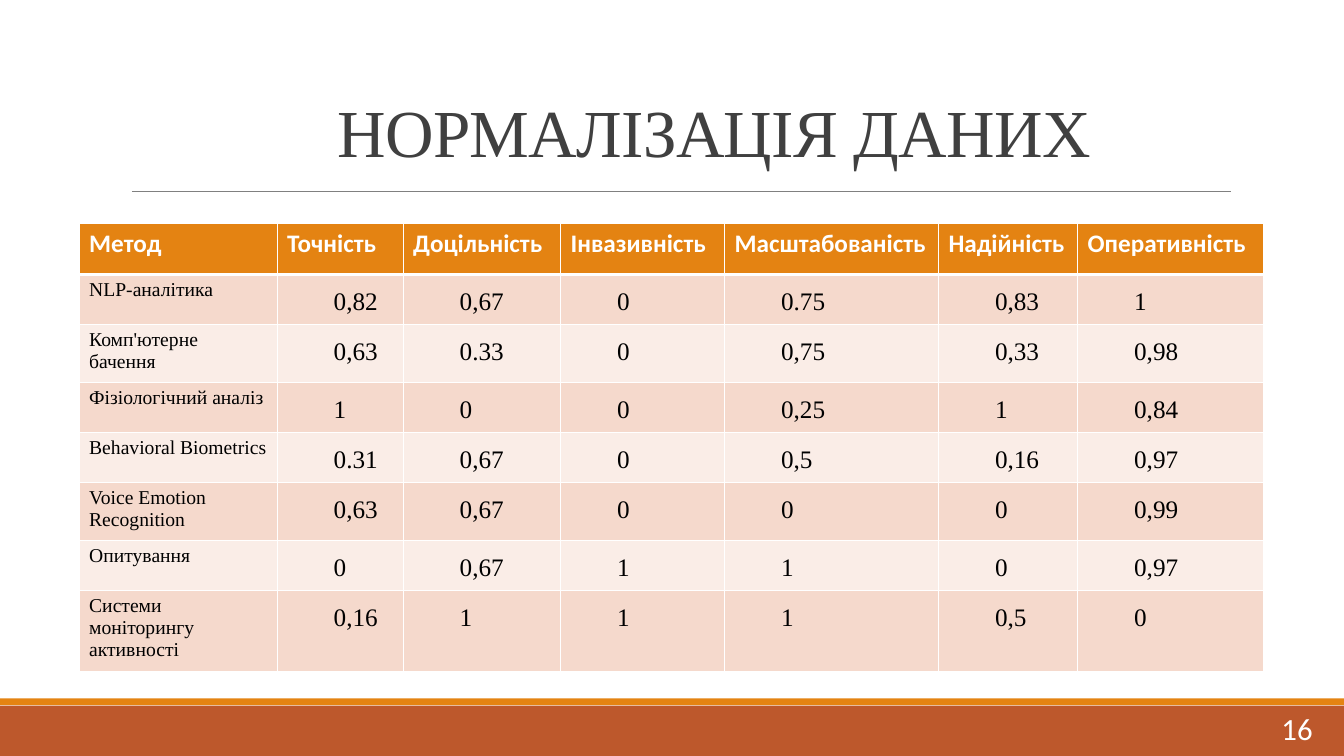
import pptx
import pptx.util
import pptx.dml.color
import pptx.enum.shapes
import pptx.enum.text
import lxml.etree
from dataclasses import dataclass

Pt = pptx.util.Pt
Anchor = pptx.enum.text.MSO_ANCHOR
Align = pptx.enum.text.PP_ALIGN
DRAWING = "{http://schemas.openxmlformats.org/drawingml/2006/main}"


@dataclass(frozen=True)
class Theme:
    heading_font: str = "Times New Roman"
    body_font: str = "Calibri"
    title_size: float = 48
    number_size: float = 22
    value_size: float = 18
    method_size: float = 14
    orange: str = "E48312"
    rust: str = "BD582C"
    bands: tuple = ("F5D9CC", "FAEDE7")
    rule: str = "808080"
    title: str = "404040"
    black: str = "000000"
    white: str = "FFFFFF"


def rgb(color):
    return pptx.dml.color.RGBColor.from_string(color)


class SlideBuilder:
    def __init__(self, page, theme):
        self.page = page
        self.theme = theme

    def style(self, para, font, size, color, bold=False, spacing=None):
        for span in para.runs:
            span.font.name = font
            span.font.size = Pt(size)
            span.font.bold = bold
            span.font.color.rgb = rgb(color)
            if spacing is not None:
                span._r.get_or_add_rPr().set("spc", str(spacing))

    def bar(self, left, top, width, height, color):
        box = self.page.shapes.add_shape(
            pptx.enum.shapes.MSO_SHAPE.RECTANGLE,
            Pt(left), Pt(top), Pt(width), Pt(height))
        box.shadow.inherit = False
        box.fill.solid()
        box.fill.fore_color.rgb = rgb(color)
        box.line.fill.background()

    def line(self, left, right, top, color, width):
        rule = self.page.shapes.add_connector(
            pptx.enum.shapes.MSO_CONNECTOR.STRAIGHT,
            Pt(left), Pt(top), Pt(right), Pt(top))
        rule.line.color.rgb = rgb(color)
        rule.line.width = Pt(width)
        lxml.etree.SubElement(rule._element.spPr, DRAWING + "effectLst")

    def text(self, left, top, width, height, words, anchor, align, line_spacing, **style):
        box = self.page.shapes.add_textbox(Pt(left), Pt(top), Pt(width), Pt(height))
        frame = box.text_frame
        frame.word_wrap = True
        frame.vertical_anchor = anchor
        frame.text = words
        para = frame.paragraphs[0]
        para.alignment = align
        para.line_spacing = line_spacing
        self.style(para, **style)

    def borders(self, cell, top, bottom):
        properties = cell._tc.get_or_add_tcPr()
        sides = (("lnL", 1), ("lnR", 1), ("lnT", top), ("lnB", bottom))
        for place, (side, width) in enumerate(sides):
            edge = lxml.etree.Element(DRAWING + side, w=str(int(Pt(width))))
            fill = lxml.etree.SubElement(edge, DRAWING + "solidFill")
            lxml.etree.SubElement(fill, DRAWING + "srgbClr", val=self.theme.white)
            properties.insert(place, edge)

    def cell(self, cell, words, row, column):
        theme = self.theme
        cell.text = words
        para = cell.text_frame.paragraphs[0]
        cell.fill.solid()
        if row == 0:
            cell.fill.fore_color.rgb = rgb(theme.orange)
            self.style(para, theme.body_font, theme.value_size, theme.white, bold=True)
        else:
            cell.fill.fore_color.rgb = rgb(theme.bands[(row - 1) % 2])
            size = theme.value_size if column else theme.method_size
            self.style(para, theme.heading_font, size, theme.black)
            if column:
                cell.margin_left = cell.margin_right = Pt(5)
                cell.margin_top = cell.margin_bottom = 0
                para.line_spacing = 1.5
                para._p.get_or_add_pPr().set("indent", str(int(Pt(35.4))))
        self.borders(cell, 3 if row == 1 else 1, 3 if row == 0 else 1)

    def table(self, left, top, widths, heights, rows):
        grid = self.page.shapes.add_table(
            len(rows), len(widths), Pt(left), Pt(top),
            Pt(sum(widths)), Pt(sum(heights))).table
        for column, width in zip(grid.columns, widths):
            column.width = Pt(width)
        for line, height in zip(grid.rows, heights):
            line.height = Pt(height)
        for row, values in enumerate(rows):
            for column, words in enumerate(values):
                self.cell(grid.cell(row, column), words, row, column)


METHODS = [
    ("Метод", "Точність", "Доцільність", "Інвазивність", "Масштабованість",
     "Надійність", "Оперативність"),
    ("NLP-аналітика", "0,82", "0,67", "0", "0.75", "0,83", "1"),
    ("Комп'ютерне бачення", "0,63", "0.33", "0", "0,75", "0,33", "0,98"),
    ("Фізіологічний аналіз", "1", "0", "0", "0,25", "1", "0,84"),
    ("Behavioral Biometrics", "0.31", "0,67", "0", "0,5", "0,16", "0,97"),
    ("Voice Emotion Recognition", "0,63", "0,67", "0", "0", "0", "0,99"),
    ("Опитування", "0", "0,67", "1", "1", "0", "0,97"),
    ("Системи моніторингу активності", "0,16", "1", "1", "1", "0,5", "0"),
]
COLUMN_WIDTHS = (141.5, 90, 112.4, 117.2, 152.8, 99.4, 132.7)
ROW_HEIGHTS = (36.6, 35.8, 41.3, 35.8, 35.8, 41.3, 35.8, 57.8)


def main():
    deck = pptx.Presentation()
    deck.slide_width, deck.slide_height = Pt(960), Pt(540)
    theme = Theme()
    page = deck.slides.add_slide(deck.slide_layouts[6])
    builder = SlideBuilder(page, theme)
    builder.bar(0, 504, 960, 36, theme.rust)
    builder.bar(0, 498.8, 960, 5, theme.orange)
    builder.line(94.3, 879, 136.8, theme.rule, 0.5)
    builder.text(234, 62.6, 574.6, 63.4, "НОРМАЛІЗАЦІЯ ДАНИХ",
                 Anchor.BOTTOM, Align.LEFT, 0.85, font=theme.heading_font,
                 size=theme.title_size, color=theme.title, spacing=-50)
    builder.text(841.7, 505.6, 103, 28.8, "16",
                 Anchor.MIDDLE, Align.RIGHT, 1, font=theme.body_font,
                 size=theme.number_size, color=theme.white)
    builder.table(56.5, 159.4, COLUMN_WIDTHS, ROW_HEIGHTS, METHODS)
    deck.save("out.pptx")


if __name__ == "__main__":
    main()
